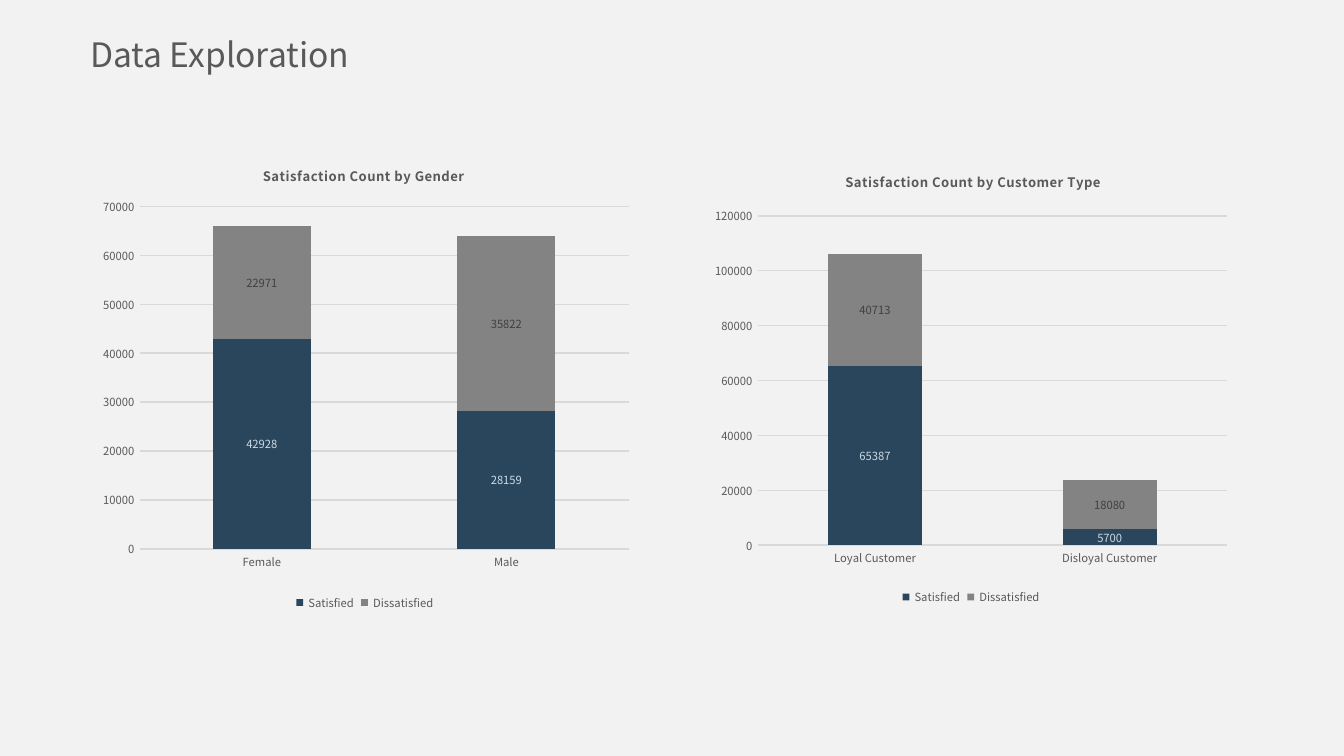
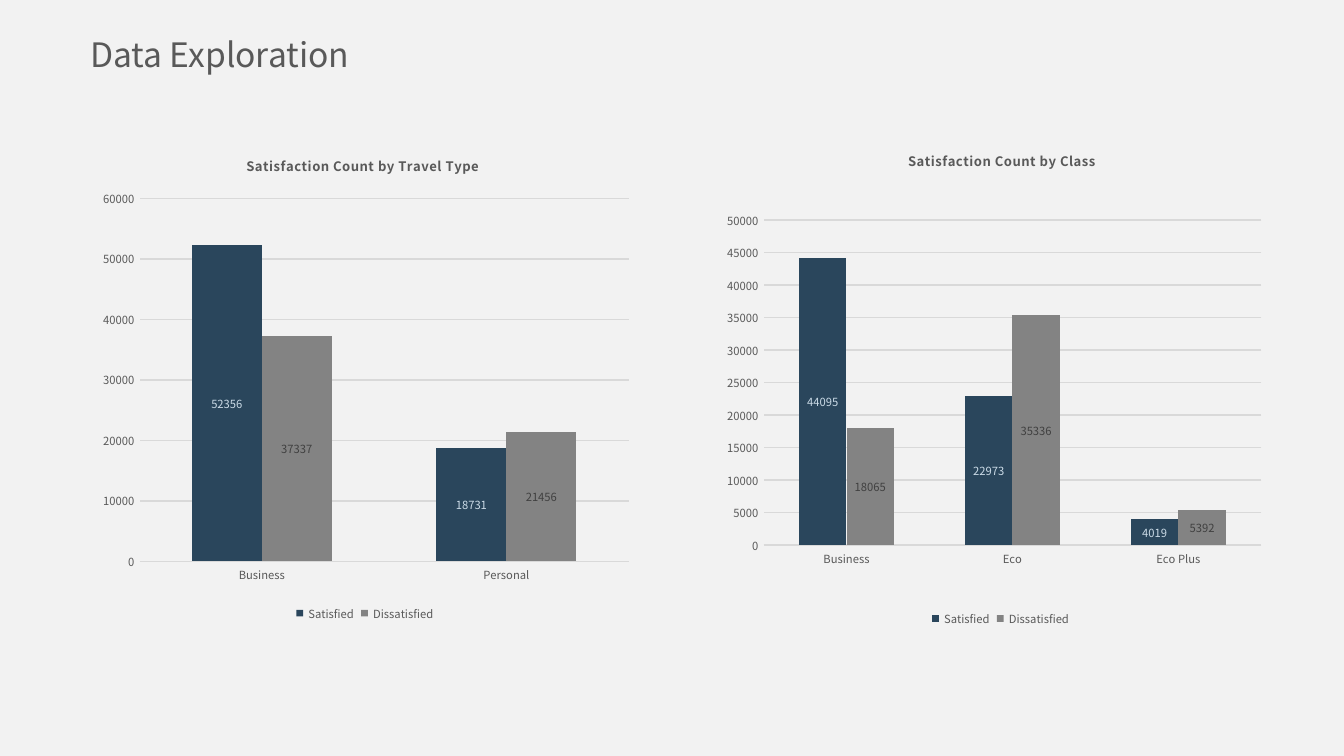
from lxml import etree
from pptx import Presentation
from pptx import util as u
from pptx.chart.data import CategoryChartData
from pptx.dml.color import RGBColor
from pptx.enum import chart as ch, text
from pptx.oxml.ns import qn

FONT = "Noto Sans CJK SC"
INK, GRID, PAPER = "595959", "D9D9D9", "F2F2F2"
SERIES = [("Satisfied", "2A465C", "CBDBE7"), ("Dissatisfied", "838383", "404040")]
WIDTH = 10
HEIGHT = WIDTH * 9 / 16
LEFT, RIGHT = 0.67, 5.24
STACKED = ch.XL_CHART_TYPE.COLUMN_STACKED
CLUSTERED = ch.XL_CHART_TYPE.COLUMN_CLUSTERED


def rgb(color):
    return RGBColor.from_string(color)


def style_font(font, size, color, bold=False):
    font.name, font.size, font.bold = FONT, u.Pt(size), bold
    font.color.rgb = rgb(color)


def style_line(line):
    line.color.rgb = rgb(GRID)
    line.width = u.Pt(0.75)


def set_layout(parent, after, inner=False, **shares):
    for old in parent.findall(qn("c:layout")):
        parent.remove(old)
    layout = etree.Element(qn("c:layout"))
    manual = etree.SubElement(layout, qn("c:manualLayout"))
    if inner:
        etree.SubElement(manual, qn("c:layoutTarget")).set("val", "inner")
    for side in ("x", "y"):
        etree.SubElement(manual, qn(f"c:{side}Mode")).set("val", "edge")
    for key, share in shares.items():
        etree.SubElement(manual, qn(f"c:{key}")).set("val", str(share))
    if after is None:
        parent.insert(0, layout)
    else:
        after.addnext(layout)


def add_title(s, words):
    sp = s.shapes.title
    sp.left, sp.top, sp.width, sp.height = map(u.Inches, (LEFT, 0.19, 2.33, 0.42))
    tf = sp.text_frame
    tf.margin_left = tf.margin_right = 0
    tf.margin_top = tf.margin_bottom = u.Inches(0.05)
    tf.vertical_anchor = text.MSO_ANCHOR.MIDDLE
    tf.word_wrap = True
    p = tf.paragraphs[0]
    p.alignment = text.PP_ALIGN.LEFT
    r = p.add_run()
    r.text = words
    style_font(r.font, 18, INK)


def add_chart_title(chart, words, x):
    chart.has_title = True
    r = chart.chart_title.text_frame.paragraphs[0].add_run()
    r.text = words
    style_font(r.font, 7, INK, bold=True)
    r._r.get_or_add_rPr().set("spc", "40")
    title = chart.chart_title._element
    set_layout(title, title.find(qn("c:tx")), x=x, y=0.05)


def style_axes(chart):
    for axis in (chart.category_axis, chart.value_axis):
        axis.major_tick_mark = axis.minor_tick_mark = ch.XL_TICK_MARK.NONE
        style_font(axis.tick_labels.font, 6, INK)
    style_line(chart.category_axis.format.line)
    chart.value_axis.format.line.fill.background()
    chart.value_axis.has_major_gridlines = True
    style_line(chart.value_axis.major_gridlines.format.line)


def style_series(plot):
    for series, (_, fill, label) in zip(plot.series, SERIES):
        series.format.fill.solid()
        series.format.fill.fore_color.rgb = rgb(fill)
        labels = series.data_labels
        labels.show_value = True
        labels.position = ch.XL_LABEL_POSITION.CENTER
        style_font(labels.font, 6, label)


def add_count_chart(s, kind, box, subject, title_x, area, cats, *counts):
    data = CategoryChartData()
    data.categories = cats
    for (name, _, _), values in zip(SERIES, counts):
        data.add_series(name, values)
    chart = s.shapes.add_chart(kind, *map(u.Inches, box), data).chart
    style_font(chart.font, 6, "000000")
    add_chart_title(chart, f"Satisfaction Count by {subject}", title_x)

    chart.has_legend = True
    chart.legend.position = ch.XL_LEGEND_POSITION.BOTTOM
    chart.legend.include_in_layout = False
    style_font(chart.legend.font, 6, INK)

    plot = chart.plots[0]
    plot.vary_by_categories = False
    plot.gap_width = 150
    plot.overlap = 100 if kind == STACKED else 0
    style_axes(chart)
    style_series(plot)
    plot_area = chart._chartSpace.chart.plotArea
    set_layout(plot_area, None, inner=True, **dict(zip("xywh", area)))


def add_exploration_slide(prs, charts):
    s = prs.slides.add_slide(prs.slide_layouts[5])
    add_title(s, "Data Exploration")
    for chart in charts:
        add_count_chart(s, *chart)


def main():
    prs = Presentation()
    prs.slide_width, prs.slide_height = u.Inches(WIDTH), u.Inches(HEIGHT)
    fill = prs.slide_master.background.fill
    fill.solid()
    fill.fore_color.rgb = rgb(PAPER)

    add_exploration_slide(prs, [
        (STACKED, (LEFT, 1.04, 4.09, 3.54), "Gender", 0.31,
         (0.09, 0.14, 0.89, 0.72), ["Female", "Male"],
         [42928, 28159], [22971, 35822]),
        (STACKED, (RIGHT, 1.09, 3.97, 3.45), "Customer Type", 0.26,
         (0.1, 0.15, 0.88, 0.71), ["Loyal Customer", "Disloyal Customer"],
         [65387, 5700], [40713, 18080]),
    ])
    add_exploration_slide(prs, [
        (CLUSTERED, (LEFT, 0.96, 4.09, 3.7), "Travel Type", 0.28,
         (0.09, 0.14, 0.89, 0.73), ["Business", "Personal"],
         [52356, 18731], [37337, 21456]),
        (CLUSTERED, (RIGHT, 0.92, 4.41, 3.78), "Class", 0.34,
         (0.1, 0.19, 0.84, 0.64), ["Business", "Eco", "Eco Plus"],
         [44095, 22973, 4019], [18065, 35336, 5392]),
    ])
    prs.save("out.pptx")


if __name__ == "__main__":
    main()
